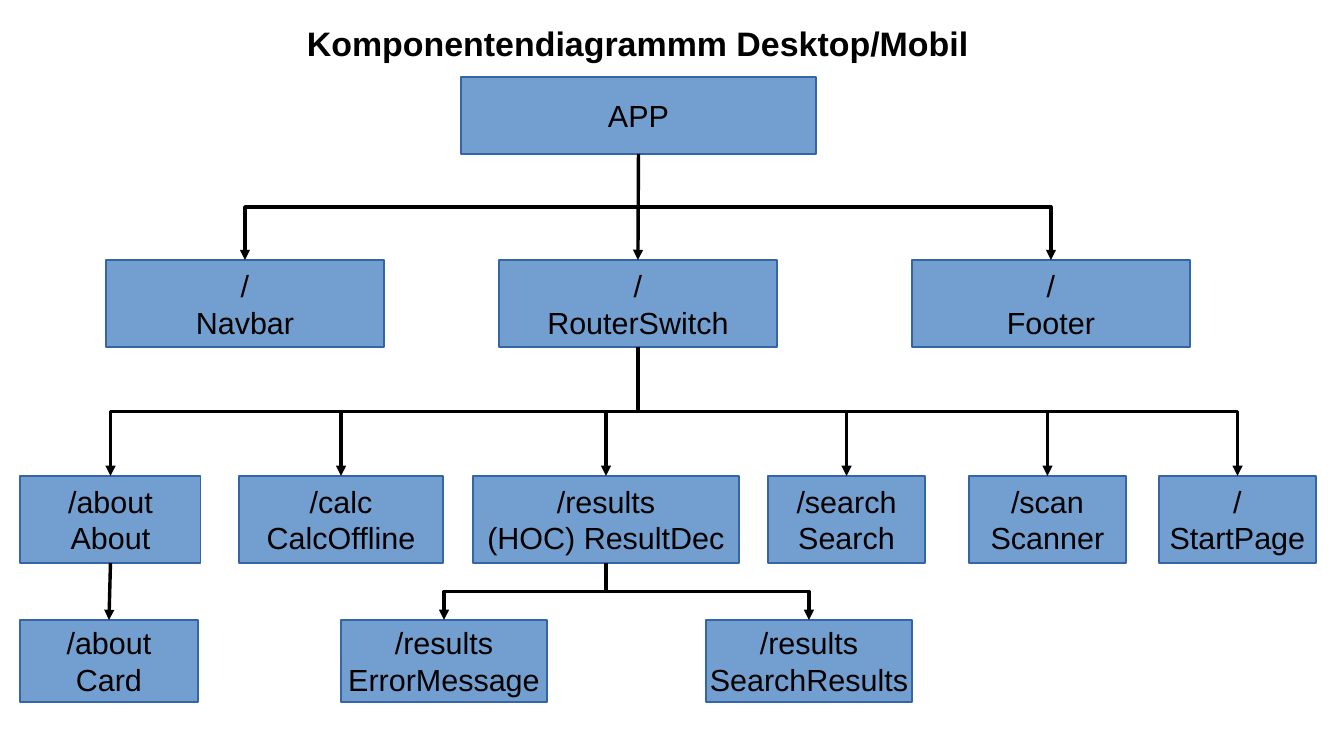
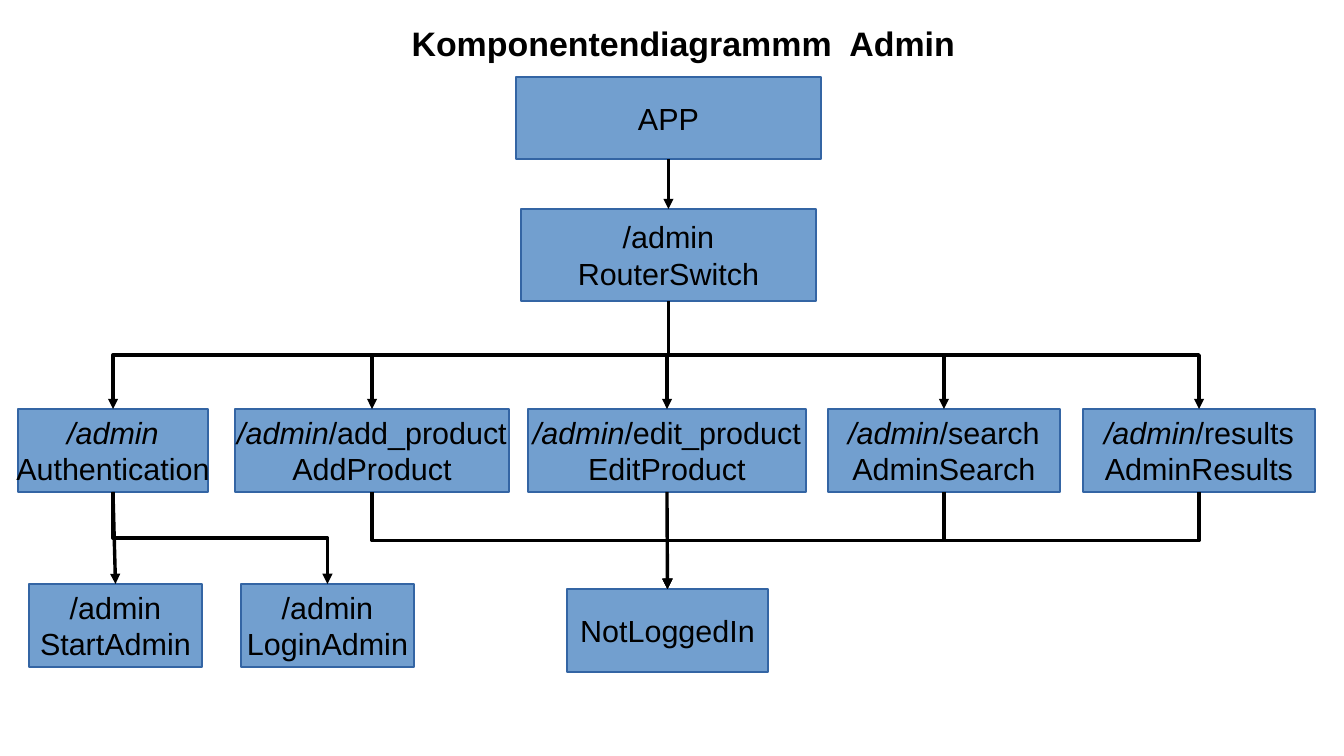
from pptx import Presentation
from pptx.dml.color import RGBColor
from pptx.enum.shapes import MSO_CONNECTOR as Link, MSO_SHAPE as Form
from pptx.enum.text import MSO_ANCHOR as Anchor, PP_ALIGN as Align
from pptx.oxml.ns import qn
from pptx.util import Pt
from lxml.etree import SubElement

UNIT = 914400 / 122
WIDE, HIGH = 1344, 756
FONT = "Arial"
BLACK = RGBColor(0x00, 0x00, 0x00)
BLUE = RGBColor(0x72, 0x9F, 0xCF)
EDGE = RGBColor(0x34, 0x65, 0xA4)


def px(count):
    return round(count * UNIT)


def place(shape, area):
    shape.left, shape.top, shape.width, shape.height = map(px, area)


def style(para, size, bold=False):
    para.alignment = Align.CENTER
    for run in para.runs:
        run.font.name = FONT
        run.font.size = Pt(size)
        run.font.bold = bold
        run.font.color.rgb = BLACK


def title(slide, area, text):
    head = slide.shapes.title
    place(head, area)
    frame = head.text_frame
    frame.text = text
    frame.vertical_anchor = Anchor.TOP
    style(frame.paragraphs[0], 20, True)


def node(slide, area, text, lean=""):
    box = slide.shapes.add_shape(Form.RECTANGLE, *map(px, area))
    box.shadow.inherit = False
    box.fill.solid()
    box.fill.fore_color.rgb = BLUE
    box.line.color.rgb = EDGE
    box.line.width = Pt(0)
    frame = box.text_frame
    frame.text = text
    frame.word_wrap = False
    frame.vertical_anchor = Anchor.MIDDLE
    if lean:
        para = frame.paragraphs[0]
        rest = para.text
        para.text = lean
        para.runs[0].font.italic = True
        if rest:
            para.add_run().text = rest
    for para in frame.paragraphs:
        style(para, 18)
    return box


def row(slide, area, cells):
    left, top, _, high = area
    return [node(slide, (left + shift, top, wide, high), *text)
            for shift, wide, *text in cells]


def link(slide, start, end, kind=Link.ELBOW):
    x1, y1 = start.left + start.width // 2, start.top + start.height
    x2, y2 = end.left + end.width // 2, end.top
    line = slide.shapes.add_connector(kind, x1, y1, x2, y2)
    line.begin_connect(start, 2)
    line.end_connect(end, 0)
    props = line._element.spPr
    if kind == Link.ELBOW:
        drop, span = y2 - y1, abs(x2 - x1)
        line.left = (x1 + x2 - drop) // 2
        line.top = (y1 + y2 - span) // 2
        line.width, line.height = drop, span
        right = x2 > x1
        turn = props.find(qn("a:xfrm"))
        turn.set("rot", str((270 if right else 90) * 60000))
        turn.set("flipH", "1" if right else "0")
        turn.set("flipV", "0")
    line.line.color.rgb = BLACK
    line.line.width = Pt(0)
    SubElement(props.find(qn("a:ln")), qn("a:tailEnd"), type="triangle")
    SubElement(props, qn("a:effectLst"))


def fan(slide, start, ends):
    for end in ends:
        link(slide, start, end)


def desktop(slide, area):
    left, top, wide, _ = area
    title(slide, (left + 273, top + 16, 730, 51),
          "Komponentendiagrammm Desktop/Mobil")
    app = node(slide, (left + 461, top + 77, 355, 77), "APP")
    nav, router, foot = row(slide, (left, top + 260, wide, 87), [
        (106, 278, "/\nNavbar"),
        (499, 278, "/\nRouterSwitch"),
        (912, 278, "/\nFooter"),
    ])
    pages = row(slide, (left, top + 476, wide, 87), [
        (20, 181, "/about\nAbout"),
        (239, 204, "/calc\nCalcOffline"),
        (473, 266, "/results\n(HOC) ResultDec"),
        (768, 157, "/search\nSearch"),
        (969, 157, "/scan\nScanner"),
        (1159, 157, "/\nStartPage"),
    ])
    card, *views = row(slide, (left, top + 620, wide, 82), [
        (20, 178, "/about\nCard"),
        (341, 206, "/results\nErrorMessage"),
        (706, 206, "/results\nSearchResults"),
    ])
    fan(slide, app, [nav, foot])
    link(slide, app, router, Link.STRAIGHT)
    fan(slide, router, pages)
    link(slide, pages[0], card, Link.STRAIGHT)
    fan(slide, pages[2], views)


def admin(slide, area):
    left, top, wide, _ = area
    title(slide, (left + 273, top + 16, 821, 51),
          "Komponentendiagrammm  Admin")
    app = node(slide, (left + 516, top + 77, 305, 82), "APP")
    router = node(slide, (left + 521, top + 209, 295, 92),
                  "/admin\nRouterSwitch")
    pages = row(slide, (left, top + 409, wide, 83), [
        (18, 190, "\nAuthentication", "/admin"),
        (235, 274, "/add_product\nAddProduct", "/admin"),
        (528, 278, "/edit_product\nEditProduct", "/admin"),
        (828, 232, "/search\nAdminSearch", "/admin"),
        (1083, 232, "/results\nAdminResults", "/admin"),
    ])
    home, login = row(slide, (left, top + 584, wide, 83), [
        (29, 173, "/admin\nStartAdmin"),
        (241, 173, "/admin\nLoginAdmin"),
    ])
    guest = node(slide, (left + 567, top + 589, 201, 83), "NotLoggedIn")
    link(slide, app, router, Link.STRAIGHT)
    fan(slide, router, pages)
    auth, add, edit, *finds = pages
    link(slide, auth, home, Link.STRAIGHT)
    link(slide, auth, login)
    link(slide, edit, guest, Link.STRAIGHT)
    for page in [add, *finds]:
        link(slide, page, guest)


def main():
    deck = Presentation()
    deck.slide_width, deck.slide_height = px(WIDE), px(HIGH)
    for draw in (desktop, admin):
        slide = deck.slides.add_slide(deck.slide_layouts[5])
        draw(slide, (0, 0, WIDE, HIGH))
    deck.save("out.pptx")


if __name__ == "__main__":
    main()
